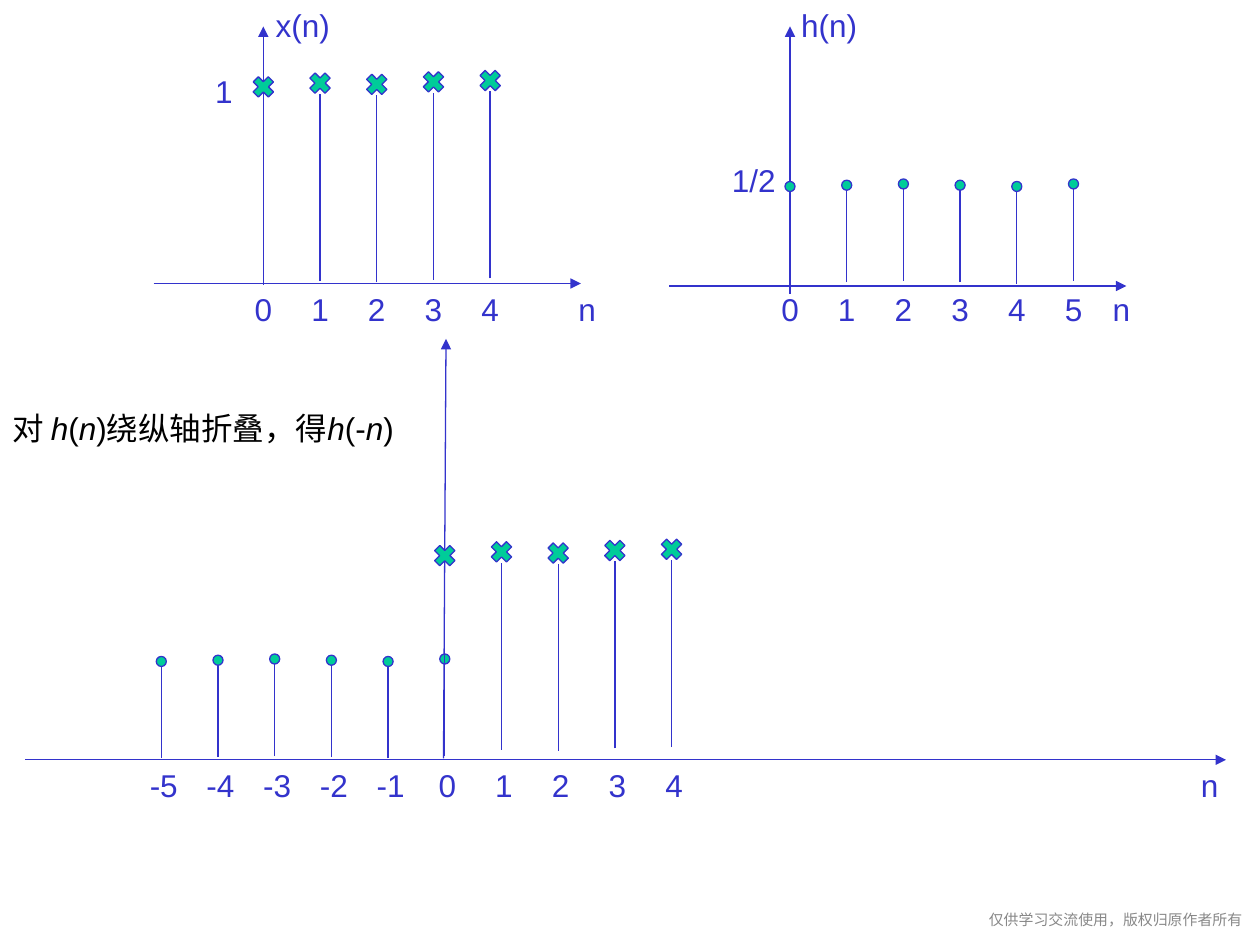
from pptx import Presentation
from pptx.dml.color import RGBColor
from pptx.enum.shapes import MSO_CONNECTOR, MSO_SHAPE
from pptx.enum.text import PP_ALIGN
from pptx.oxml.ns import qn
from pptx.util import Inches, Pt
from lxml import etree

STRAIGHT = MSO_CONNECTOR.STRAIGHT
CROSS, DOT = MSO_SHAPE.CROSS, MSO_SHAPE.OVAL
LEFT, RIGHT = PP_ALIGN.LEFT, PP_ALIGN.RIGHT
BLUE = RGBColor(0x33, 0x33, 0xCC)
GREEN = RGBColor(0x00, 0xCC, 0x99)
BLACK = RGBColor(0, 0, 0)
GRAY = RGBColor(0x88, 0x88, 0x88)

STEP = 0.45
X_TOPS = [0.69, 0.66, 0.67, 0.65, 0.64]
H_TOPS = [1.48, 1.47, 1.46, 1.47, 1.48, 1.46]
X_MARK = dict(kind=CROSS, size=0.17, drop=1.57)
H_MARK = dict(kind=DOT, size=0.08, drop=0.77)

AXES = [
    (0.2, 6.03, 9.73, 6.03), (3.52, 6.02, 3.54, 2.69),
    (1.22, 2.25, 4.61, 2.25), (2.09, 2.18, 2.09, 0.21),
    (5.31, 2.27, 8.94, 2.27), (6.27, 2.33, 6.27, 0.21),
]
STEMS = [
    (1.28, 3.77, H_TOPS, H_MARK), (3.53, 3.72, X_TOPS, X_MARK),
    (2.09, 0, X_TOPS, X_MARK), (6.27, 0, H_TOPS, H_MARK),
]
SCALES = [
    ((1.93, 2.25, 2.99, 0.4), 2.09, range(5), 4.66),
    ((6.1, 2.25, 2.99, 0.4), 6.27, range(6), 8.9),
    ((0.9, 6.03, 9.1, 0.4), 1.3, range(-5, 5), 9.6),
]
LABELS = [
    ("1", (1.61, 0.52, 0.39, 0.4)),
    ("x(n)", (2.09, 0, 1.1, 0.4)),
    ("h(n)", (6.26, 0, 0.95, 0.4)),
    ("1/2", (5.71, 1.23, 0.63, 0.4)),
]
NOTE = ["对 ", "h", "(", "n", ")绕纵轴折叠，得", "h", "(-", "n", ")"]
FOOT = "仅供学习交流使用，版权归原作者所有"

deck = Presentation()
deck.slide_width, deck.slide_height = Inches(10), Inches(7.5)
slide = deck.slides.add_slide(deck.slide_layouts[6])
shapes = slide.shapes


def add_text(parts, box, size=18, font="Arial", color=BLUE, align=LEFT,
             inset=None, tabs=()):
    frame = shapes.add_textbox(*map(Inches, box)).text_frame
    frame.word_wrap = True
    if inset is not None:
        frame.margin_left = frame.margin_right = Inches(inset)
    para = frame.paragraphs[0]
    para.alignment = align
    if tabs:
        stops = etree.SubElement(para._p.get_or_add_pPr(), qn("a:tabLst"))
        for pos in tabs:
            etree.SubElement(stops, qn("a:tab"), pos=str(Inches(pos)), algn="ctr")
    for i, part in enumerate(parts):
        run = para.add_run()
        run.text = part
        run.font.size, run.font.name = Pt(size), font
        run.font.color.rgb = color
        run.font.italic = i % 2 == 1
    return frame


def add_line(ends, arrow=False):
    line = shapes.add_connector(STRAIGHT, *map(Inches, ends))
    line.line.color.rgb, line.line.width = BLUE, Pt(0.75)
    if arrow:
        etree.SubElement(line.line._get_or_add_ln(), qn("a:tailEnd"), type="triangle")
    etree.SubElement(line._element.spPr, qn("a:effectLst"))


def add_mark(x, y, kind, size):
    box = (x - size / 2, y - size / 2, size, size)
    mark = shapes.add_shape(kind, *map(Inches, box))
    mark.shadow.inherit = False
    mark.fill.solid()
    mark.fill.fore_color.rgb = GREEN
    mark.line.color.rgb, mark.line.width = BLUE, Pt(0.75)
    if kind == CROSS:
        mark.adjustments[0] = 0.33
        mark.rotation = 45


for ends in AXES:
    add_line(ends, arrow=True)

for left, shift, tops, look in STEMS:
    for i, top in enumerate(tops):
        x, y = left + i * STEP, top + shift
        add_line((x, y + look["drop"], x, y + look["size"] / 2))
        add_mark(x, y, look["kind"], look["size"])

for box, first, ticks, last in SCALES:
    spots = [first + i * STEP for i in range(len(ticks))] + [last]
    words = [str(tick) for tick in ticks] + ["n"]
    add_text(["".join("\t" + word for word in words)], box, inset=0,
             tabs=[spot - box[0] for spot in spots])

for label, box in LABELS:
    add_text([label], box)

add_text(NOTE, (0, 3.2, 3.24, 0.4), color=BLACK)
foot = add_text([FOOT], (6.06, 7.23, 3.8, 0.22), size=8.5, font="Times New Roman",
                color=GRAY, align=RIGHT, inset=0)
foot.margin_top = foot.margin_bottom = 0

deck.save("out.pptx")
